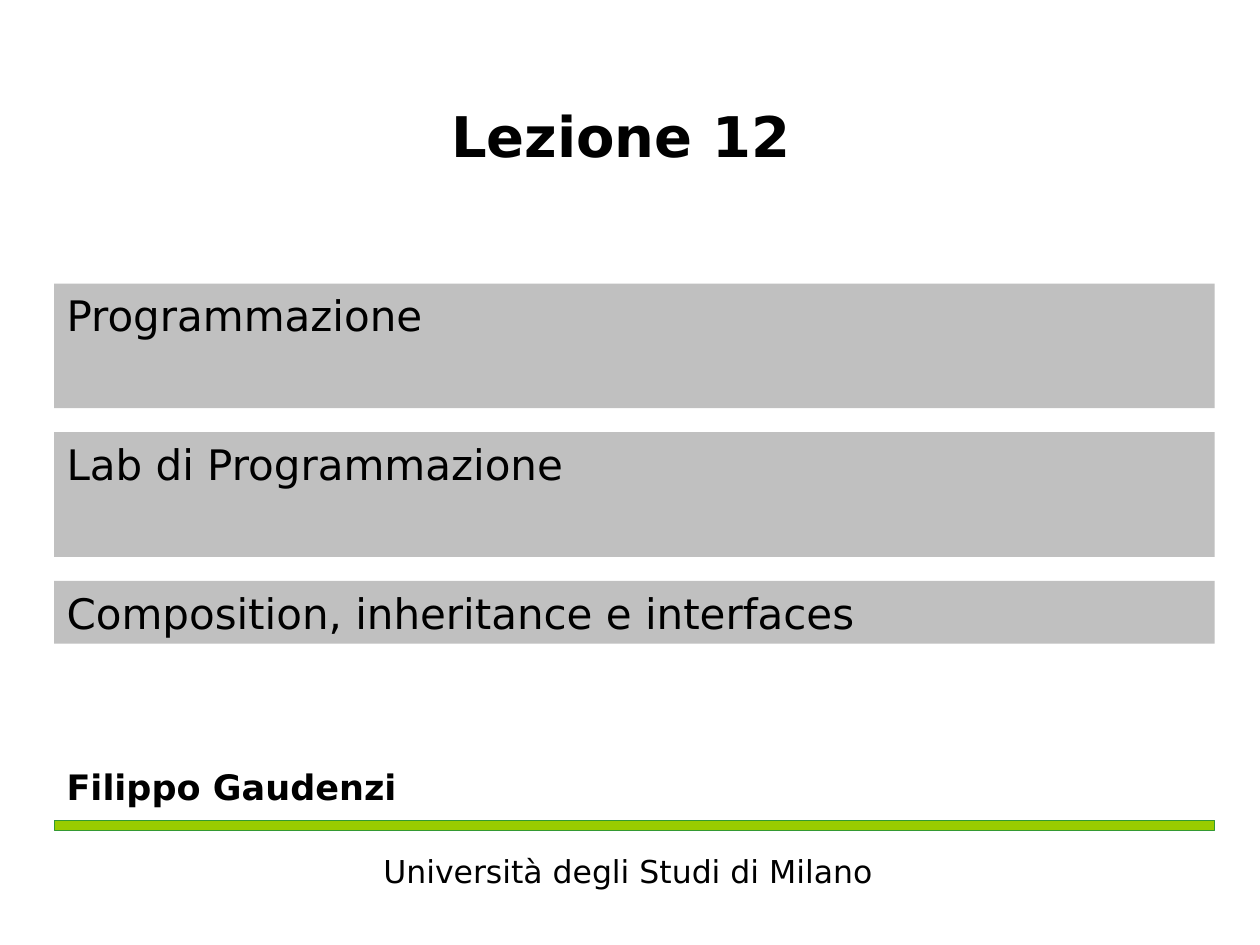
from lxml.etree import SubElement as Sub
from pptx import Presentation
from pptx.dml.color import RGBColor as Rgb
from pptx.enum.shapes import MSO_SHAPE as Shape
from pptx.enum.text import MSO_ANCHOR as Anchor, PP_ALIGN as Align
from pptx.oxml.ns import qn
from pptx.util import Inches, Pt

BLACK = Rgb(0, 0, 0)
GRAY = Rgb(0xC0, 0xC0, 0xC0)
LIME = Rgb(0x99, 0xCC, 0x00)
GREEN = Rgb(0x33, 0x99, 0x33)
LEFT, WIDTH = 0.43, 9.21


class Page:
    font = "DejaVu Sans"
    color = BLACK

    def __init__(self, deck):
        self.slide = deck.slides.add_slide(deck.slide_layouts[5])

    def set_text(self, shape, text, size, bold=False, align=Align.LEFT,
                 anchor=Anchor.TOP, wrap=True, gap=True):
        frame = shape.text_frame
        frame.word_wrap = wrap
        frame.vertical_anchor = anchor
        para = frame.paragraphs[0]
        para.text = text
        para.alignment = align
        if gap:
            space = Sub(para._p.get_or_add_pPr(), qn("a:spcBef"))
            Sub(space, qn("a:spcPct"), val="20000")
        font = para.font
        font.name, font.size, font.bold = self.font, Pt(size), bold
        font.color.rgb = self.color

    def title(self, text, box):
        shape = self.slide.shapes.title
        shape.left, shape.top, shape.width, shape.height = map(Inches, box)
        self.set_text(shape, text, 32, True, Align.CENTER, Anchor.MIDDLE, gap=False)

    def label(self, text, box, size, **style):
        shape = self.slide.shapes.add_textbox(*map(Inches, box))
        self.set_text(shape, text, size, **style)

    def bar(self, box, fill, line=None):
        shape = self.slide.shapes.add_shape(Shape.RECTANGLE, *map(Inches, box))
        shape.shadow.inherit = False
        shape.fill.solid()
        shape.fill.fore_color.rgb = fill
        if line is None:
            shape.line.fill.background()
        else:
            shape.line.color.rgb = line
            shape.line.width = Pt(0.75)
        return shape

    def panel(self, text, box):
        self.set_text(self.bar(box, GRAY), text, 24)


def main():
    deck = Presentation()
    deck.slide_width, deck.slide_height = Inches(10), Inches(7.5)
    page = Page(deck)
    page.title("Lezione 12 ", (0.39, 0.77, 9.23, 0.61))
    topics = [
        ("Programmazione", 0.99),
        ("Lab di Programmazione", 0.99),
        ("Composition, inheritance e interfaces", 0.5),
    ]
    top = 2.25
    for text, height in topics:
        page.panel(text, (LEFT, top, WIDTH, height))
        top += height + 0.19
    page.label("Filippo Gaudenzi", (LEFT, 6.03, WIDTH, 0.43), 20, bold=True)
    page.label("Università degli Studi di Milano", (2.92, 6.71, 4.13, 0.4), 18,
               align=Align.CENTER, wrap=False)
    page.bar((LEFT, 6.51, WIDTH, 0.08), LIME, GREEN)
    deck.save("out.pptx")


if __name__ == "__main__":
    main()
